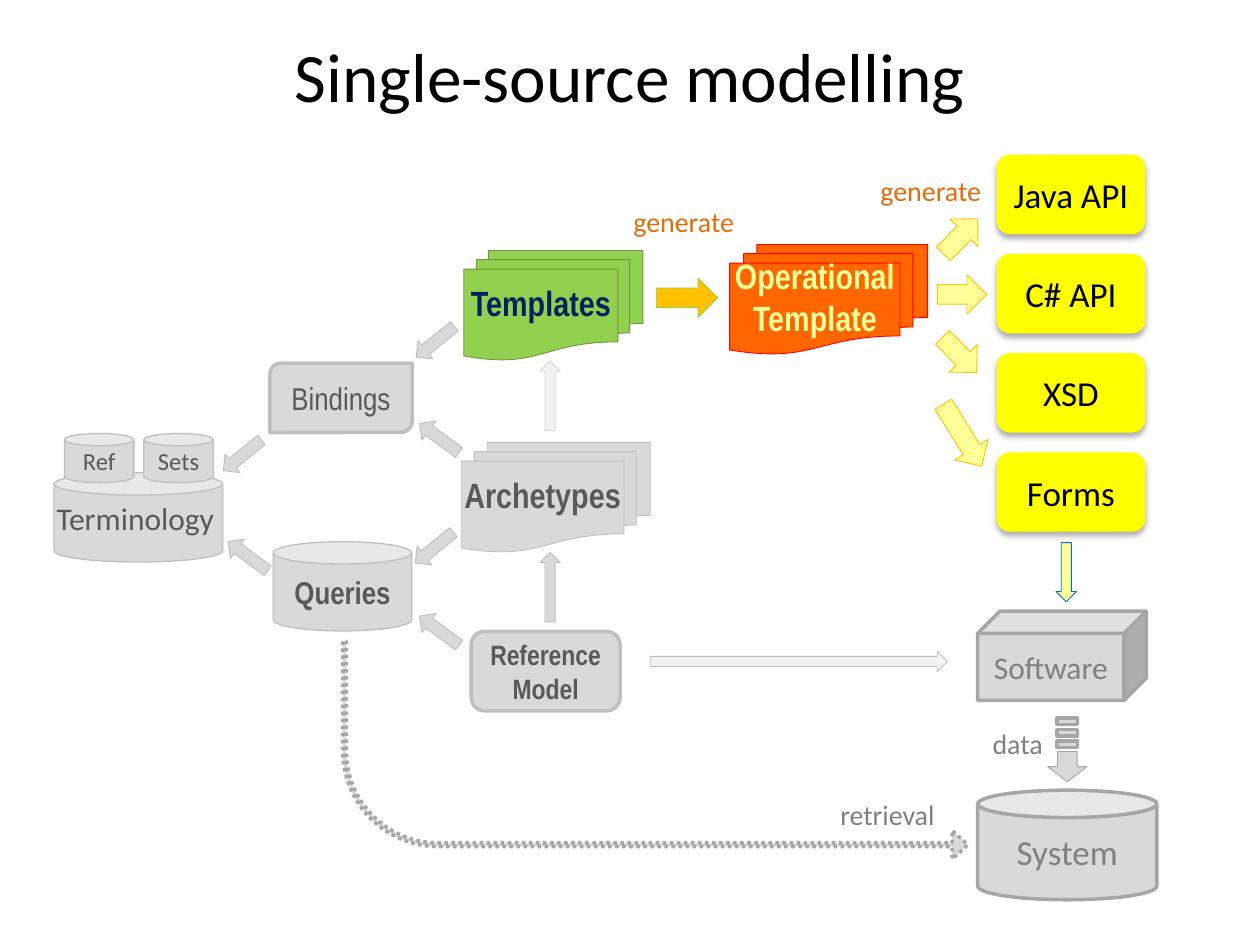
from lxml.etree import SubElement
from pptx import Presentation
from pptx.dml.color import RGBColor
from pptx.enum.dml import MSO_LINE
from pptx.enum.shapes import MSO_SHAPE
from pptx.enum.text import MSO_ANCHOR, MSO_AUTO_SIZE, PP_ALIGN
from pptx.oxml.ns import qn
from pptx.util import Cm, Pt

COLORS = {
    "black": "000000", "yellow": "FFFF00", "pale_yellow": "FFFF99",
    "amber": "FFC000", "orange": "FF6600", "burnt_orange": "E46C0A",
    "red": "FF0000", "green": "92D050", "olive": "77933C",
    "navy": "002060", "blue": "0070C0", "near_white": "F2F2F2",
    "light": "D9D9D9", "silver": "BFBFBF", "grey": "A6A6A6",
    "mid": "808080", "dark": "595959",
}
NARROW = "Arial Narrow"
CENTERED = {"word_wrap": True, "vertical_anchor": MSO_ANCHOR.MIDDLE,
            "margin_left": 0, "margin_right": 0}
DOCUMENT = {**CENTERED, "margin_top": 0, "margin_bottom": Cm(0.41)}
LABEL = {"word_wrap": False, "auto_size": MSO_AUTO_SIZE.SHAPE_TO_FIT_TEXT}


def color(name):
    return RGBColor.from_string(COLORS[name])


def set_attributes(target, values):
    for name, value in values.items():
        setattr(target, name, value)


def write_text(shape, text, size, ink, font="Calibri", bold=False,
               frame=CENTERED, align=PP_ALIGN.CENTER):
    set_attributes(shape.text_frame, frame)
    paragraph = shape.text_frame.paragraphs[0]
    paragraph.alignment = align
    run = paragraph.add_run()
    run.text = text
    set_attributes(run.font, {"size": Pt(size), "name": font, "bold": bold})
    run.font.color.rgb = color(ink)


def add_block(slide, kind, box, fill="light", line="silver", width=0.5, angle=0):
    shape = slide.shapes.add_shape(kind, *map(Cm, box))
    set_attributes(shape, {"rotation": angle})
    shape.shadow.inherit = False
    shape.fill.solid()
    shape.fill.fore_color.rgb = color(fill)
    if line:
        shape.line.color.rgb = color(line)
        shape.line.width = Pt(width)
    else:
        shape.line.fill.background()
    return shape


def add_arrow(slide, box, angle=0, fill="light", line="silver"):
    return add_block(slide, MSO_SHAPE.RIGHT_ARROW, box, fill, line, angle=angle)


def add_label(slide, text, box, size, ink, **options):
    text_box = slide.shapes.add_textbox(*map(Cm, box))
    write_text(text_box, text, size, ink,
               **{"frame": LABEL, "align": PP_ALIGN.LEFT, **options})


def add_documents(slide, text, box, fill, line, ink):
    shape = add_block(slide, MSO_SHAPE.FLOWCHART_MULTIDOCUMENT, box, fill, line)
    write_text(shape, text, 20, ink, NARROW, True, DOCUMENT)


def add_can(slide, box, line="silver", width=0.75):
    return add_block(slide, MSO_SHAPE.CAN, box, line=line, width=width)


def add_soft_shadow(shape):
    effects = shape._element.spPr.find(qn("a:effectLst"))
    shadow = SubElement(effects, qn("a:outerShdw"), blurRad=str(Pt(3.5)),
                        dist=str(Pt(2.2)), dir="5400000", rotWithShape="0")
    tone = SubElement(shadow, qn("a:srgbClr"), val=COLORS["black"])
    SubElement(tone, qn("a:alpha"), val="32000")


def add_outputs(slide):
    for index, name in enumerate(["Java API", "C# API", "XSD", "Forms"]):
        box = (20.09, 3.12 + 2 * index, 3, 1.6)
        shape = add_block(slide, MSO_SHAPE.ROUNDED_RECTANGLE, box, "yellow", None)
        add_soft_shadow(shape)
        write_text(shape, name, 20, "black")
    for left, top, length, angle in [(18.87, 4.37, 0.99, 314.4), (18.9, 5.54, 0.99, 0),
                                     (18.85, 6.76, 0.99, 45.6), (18.67, 8.38, 1.47, 58.2)]:
        add_arrow(slide, (left, top, length, 0.79), angle, "pale_yellow", "amber")
    add_arrow(slide, (20.9, 11.33, 1.19, 0.41), 90, "pale_yellow", "blue")


def add_system(slide):
    cube = add_block(slide, MSO_SHAPE.CUBE, (19.71, 12.32, 3.4, 1.8), line="grey", width=2)
    write_text(cube, "Software", 18, "mid")
    write_text(add_can(slide, (19.71, 15.93, 3.61, 2.21), "grey", 2), "System", 20, "mid")
    # Striped data arrow
    add_arrow(slide, (21.21, 15.06, 0.61, 0.79), 90, line="grey")
    for index in range(3):
        add_block(slide, MSO_SHAPE.RECTANGLE, (21.31, 14.48 + 0.23 * index, 0.41, 0.13),
                  line="grey", width=2)
    # Dotted retrieval arrow
    retrieval = add_block(slide, MSO_SHAPE.BENT_ARROW, (6.91, 12.93, 12.6, 4.39),
                          line="grey", width=2)
    retrieval.line.dash_style = MSO_LINE.ROUND_DOT
    retrieval._element.spPr.find(qn("a:xfrm")).set("flipV", "1")
    for index, value in enumerate([0.017, 0.066, 0.072, 0.438]):
        retrieval.adjustments[index] = value


def add_terminology(slide):
    add_can(slide, (1.09, 9.53, 3.4, 1.8))
    add_label(slide, "Terminology", (0.89, 9.93, 3.78, 1.02), 18, "dark")
    for left, name in [(1.3, "Ref"), (2.9, "Sets")]:
        write_text(add_can(slide, (left, 8.74, 1.4, 0.99)), name, 14, "dark")


def add_models(slide):
    add_documents(slide, "Operational Template", (14.71, 4.93, 3.99, 2.21),
                  "orange", "red", "pale_yellow")
    add_documents(slide, "Archetypes", (9.3, 8.92, 3.81, 2.21), "light", "silver", "dark")
    add_documents(slide, "Templates", (9.35, 5.05, 3.61, 2.21), "green", "olive", "navy")
    reference = add_block(slide, MSO_SHAPE.ROUNDED_RECTANGLE, (9.5, 12.73, 3, 1.6), width=2)
    write_text(reference, "Reference Model", 16, "dark", NARROW, True)
    bindings = add_block(slide, MSO_SHAPE.ROUND_2_DIAG_RECTANGLE,
                         (5.44, 7.32, 2.87, 1.4), width=2)
    write_text(bindings, "Bindings", 18, "dark", NARROW)
    queries = add_can(slide, (5.51, 10.92, 2.79, 1.8))
    write_text(queries, "Queries", 18, "dark", NARROW, True)


def add_model_arrows(slide):
    slanted = {216.4: [(8.36, 12.47), (4.5, 10.97), (8.36, 8.59)],
               141.1: [(8.26, 10.8), (4.39, 8.94), (8.28, 6.65)]}
    for angle, corners in slanted.items():
        for corner in corners:
            add_arrow(slide, (*corner, 0.99, 0.48), angle)
    add_arrow(slide, (10.39, 7.77, 1.4, 0.41), 270, "near_white", "light")
    add_arrow(slide, (10.39, 11.63, 1.4, 0.41), 270)
    add_arrow(slide, (13.11, 13.13, 5.99, 0.41), fill="near_white")
    add_arrow(slide, (13.23, 5.61, 1.24, 0.79), fill="amber", line="green")


def main():
    presentation = Presentation()
    set_attributes(presentation, {"slide_width": Cm(25.4), "slide_height": Cm(19.05)})
    slide = presentation.slides.add_slide(presentation.slide_layouts[6])

    # Diagram
    add_outputs(slide)
    add_system(slide)
    add_terminology(slide)
    add_models(slide)
    add_model_arrows(slide)

    # Labels and title
    for text, left, top, width, ink in [("data", 19.76, 14.53, 1.52, "mid"),
                                        ("retrieval", 16.69, 15.95, 2.44, "mid"),
                                        ("generate", 12.52, 3.99, 2.57, "burnt_orange"),
                                        ("generate", 17.5, 3.38, 2.57, "burnt_orange")]:
        add_label(slide, text, (left, top, width, 0.94), 16, ink)
    add_label(slide, "Single-source modelling", (1.27, 0.53, 22.86, 1.96), 39.6, "black",
              frame=CENTERED, align=PP_ALIGN.CENTER)

    presentation.save("out.pptx")


main()
